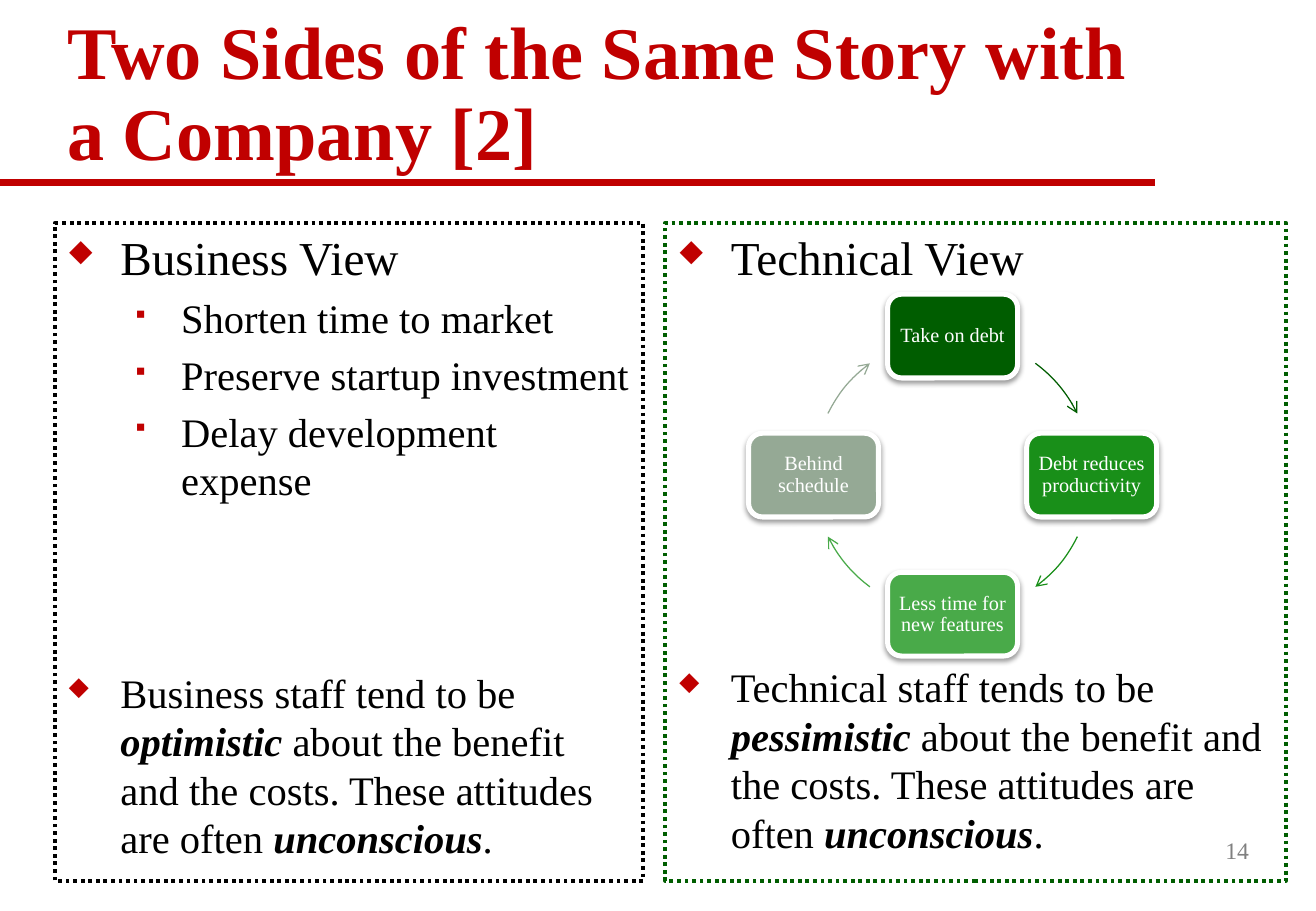
import math

from lxml import etree
from pptx import Presentation
from pptx.dml.color import RGBColor
from pptx.enum.dml import MSO_LINE
from pptx.enum.shapes import MSO_CONNECTOR, MSO_SHAPE
from pptx.enum.text import MSO_ANCHOR, PP_ALIGN
from pptx.oxml.ns import qn
from pptx.util import Inches, Pt

DOTTED = MSO_LINE.ROUND_DOT
STRAIGHT = MSO_CONNECTOR.STRAIGHT
ROUNDED, ARC = MSO_SHAPE.ROUNDED_RECTANGLE, MSO_SHAPE.ARC
TOP, MIDDLE, BOTTOM = MSO_ANCHOR.TOP, MSO_ANCHOR.MIDDLE, MSO_ANCHOR.BOTTOM
LEFT, CENTER, RIGHT = PP_ALIGN.LEFT, PP_ALIGN.CENTER, PP_ALIGN.RIGHT

W, H = Inches(10.83), Inches(7.5)
FONT, BULLET_FONT = "Times New Roman", "Wingdings"
COLORS = {
    "red": "C00000", "black": "000000", "white": "FFFFFF", "gray": "808080",
    "debt": "005D00", "reduces": "198F19", "less": "49AA49", "behind": "95A995",
}
# Level: bullet (diamond, square), left margin, hanging indent
BULLETS = [("u", 0.44, 0.44), ("§", 0.94, 0.38)]

PANEL_TOP, PANEL_HEIGHT, PANEL_BORDER = 24.44, 72.27, 2.25
# Left, width, border colour, paragraphs (text, level, size, space before)
PANELS = [
    (4.18, 44.7, "black", [
        ("Business View", 0, 28, 0),
        ("Shorten time to market", 1, 24, 4.8),
        ("Preserve startup investment", 1, 24, 4.8),
        ("Delay development expense", 1, 24, 4.8),
        ("Business staff tend to be *optimistic* about the benefit and the costs. "
         "These attitudes are often *unconscious*.", 0, 24, 97),
    ]),
    (50.56, 47.14, "debt", [
        ("Technical View", 0, 28, 0),
        ("Technical staff tends to be *pessimistic* about the benefit and the costs. "
         "These attitudes are often *unconscious*.", 0, 24, 223.4),
    ]),
]

# Clockwise from the top
CYCLE = [
    ("Take on debt", "debt"),
    ("Debt reduces productivity", "reduces"),
    ("Less time for new features", "less"),
    ("Behind schedule", "behind"),
]
ARC_MIDDLES = [320.1, 39.9, 140.1, 219.9]
ARC_HALF = 13.6
ARC_UNIT = 0.6  # adjustment value of one degree


def x(share):
    """Percent of the slide's width."""
    return int(W * share / 100)


def y(share):
    """Percent of the slide's height."""
    return int(H * share / 100)


def rgb(name):
    return RGBColor.from_string(COLORS[name])


def xml_child(parent, tag, **attrs):
    return etree.SubElement(parent, qn(tag), {k: str(v) for k, v in attrs.items()})


def set_line(line, color, width):
    line.color.rgb = rgb(color)
    line.width = Pt(width)


def set_frame(tf, anchor=TOP, side=0.1, edge=0.05):
    tf.word_wrap = True
    tf.vertical_anchor = anchor
    tf.margin_left = tf.margin_right = Inches(side)
    tf.margin_top = tf.margin_bottom = Inches(edge)


def add_text(tf, text, size, color="black", bold=False, align=LEFT,
             leading=1.2, before=0, level=None):
    """Add a paragraph; *stars* mark bold italics and a newline breaks the line."""
    p = tf.paragraphs[0]
    if p.runs:
        p = tf.add_paragraph()
    p.alignment = align
    p.line_spacing = Pt(size * leading)
    p.space_before = Pt(before)
    if level is not None:
        add_bullet(p, level)
    for i, part in enumerate(text.split("*")):
        for j, row in enumerate(part.split("\n")):
            if j:
                p.add_line_break()
            r = p.add_run()
            r.text = row
            r.font.name = FONT
            r.font.size = Pt(size)
            r.font.color.rgb = rgb(color)
            r.font.bold = bold or i % 2 == 1
            r.font.italic = i % 2 == 1


def add_bullet(p, level):
    char, margin, hanging = BULLETS[level]
    p.level = level
    pPr = p._p.get_or_add_pPr()
    pPr.set("marL", str(Inches(margin)))
    pPr.set("indent", str(-Inches(hanging)))
    xml_child(xml_child(pPr, "a:buClr"), "a:srgbClr", val=COLORS["red"])
    xml_child(pPr, "a:buSzPct", val=60000)
    xml_child(pPr, "a:buFont", typeface=BULLET_FONT, pitchFamily=2, charset=2)
    xml_child(pPr, "a:buChar", char=char)


def add_box(slide, left, top, width, height, anchor=TOP):
    sp = slide.shapes.add_textbox(x(left), y(top), x(width), y(height))
    set_frame(sp.text_frame, anchor)
    return sp


def add_rule(slide):
    line = slide.shapes.add_connector(STRAIGHT, 0, y(20), x(87.78), y(20))
    set_line(line.line, "red", 4)
    xml_child(line._element.spPr, "a:effectLst")


def add_panel(slide, left, width, color, paragraphs):
    sp = add_box(slide, left, PANEL_TOP, width, PANEL_HEIGHT)
    set_line(sp.line, color, PANEL_BORDER)
    sp.line.dash_style = DOTTED
    for text, level, size, before in paragraphs:
        add_text(sp.text_frame, text, size, level=level, before=before)


def add_node(slide, cx, cy, text, color):
    w, h = x(9.88), y(9.2)
    sp = slide.shapes.add_shape(ROUNDED, cx - w // 2, cy - h // 2, w, h)
    sp.fill.solid()
    sp.fill.fore_color.rgb = rgb(color)
    set_line(sp.line, "white", 3)
    effects = xml_child(sp._element.spPr, "a:effectLst")
    shadow = xml_child(effects, "a:outerShdw", blurRad=Pt(3.1), dist=Pt(1.6),
                       dir=90 * 60000, rotWithShape=0)
    tint = xml_child(shadow, "a:srgbClr", val=COLORS["black"])
    xml_child(tint, "a:alpha", val=38000)
    set_frame(sp.text_frame, MIDDLE, side=0.03, edge=0.03)
    add_text(sp.text_frame, text, 12, color="white", align=CENTER, leading=1.06)


def add_arc_arrow(slide, cx, cy, radius, middle, color):
    sp = slide.shapes.add_shape(ARC, cx - radius, cy - radius, 2 * radius, 2 * radius)
    sp.adjustments[0] = (middle - ARC_HALF) * ARC_UNIT
    sp.adjustments[1] = (middle + ARC_HALF) * ARC_UNIT
    sp.fill.background()
    sp.shadow.inherit = False
    set_line(sp.line, color, 0.75)
    xml_child(sp.line._get_or_add_ln(), "a:tailEnd", type="arrow")


def add_cycle(slide):
    cx, cy, radius = x(72.39), y(52.15), x(10.57)
    for i, (text, color) in enumerate(CYCLE):
        a = math.radians(90 * i - 90)
        add_node(slide, cx + round(radius * math.cos(a)),
                 cy + round(radius * math.sin(a)), text, color)
        add_arc_arrow(slide, cx, cy, radius, ARC_MIDDLES[i], color)


def main():
    prs = Presentation()
    prs.slide_width, prs.slide_height = W, H
    slide = prs.slides.add_slide(prs.slide_layouts[6])
    add_rule(slide)
    title = add_box(slide, 4.2, 3.78, 91.23, 16.13, BOTTOM)
    add_text(title.text_frame, "Two Sides of the Same Story with\na Company [2]", 44,
             color="red", bold=True, leading=1.09)
    for panel in PANELS:
        add_panel(slide, *panel)
    number = add_box(slide, 74.95, 90, 20.87, 6.67, MIDDLE)
    add_text(number.text_frame, "14", 14, color="gray", align=RIGHT)
    add_cycle(slide)
    prs.save("out.pptx")


if __name__ == "__main__":
    main()
